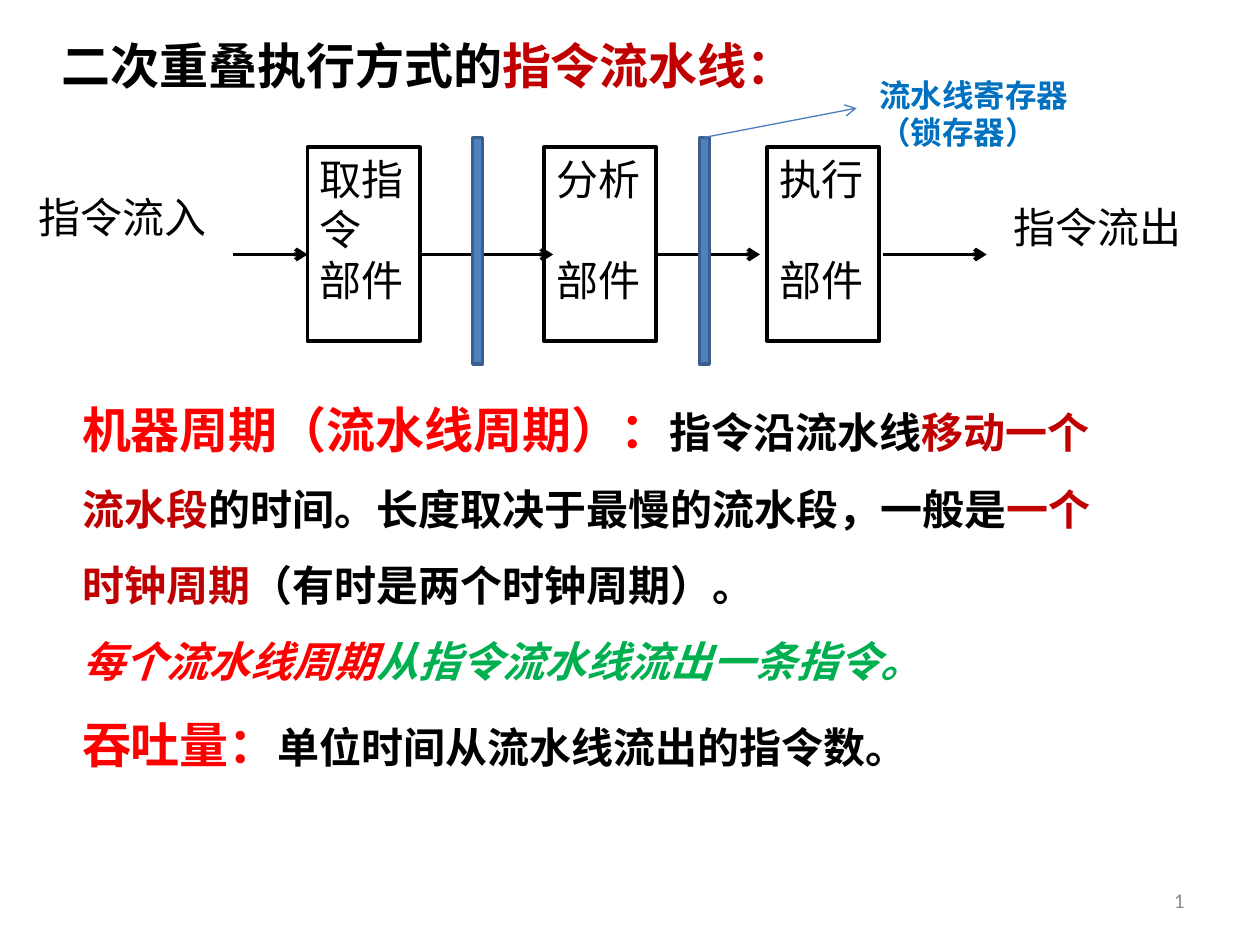
from lxml.etree import SubElement
from pptx import Presentation
from pptx.dml.color import RGBColor
from pptx.enum.shapes import MSO_CONNECTOR as ConnectorKind, MSO_SHAPE as ShapeKind
from pptx.enum.text import MSO_ANCHOR as Anchor, MSO_AUTO_SIZE as AutoSize, PP_ALIGN as Align
from pptx.oxml.ns import qn
from pptx.util import Cm, Pt

FONT = "Calibri"
BLACK, RED, DARK_RED, GREEN, BLUE = "000000", "FF0000", "C00000", "00B050", "0070C0"
BOX_TOP, BOX_WIDTH, BOX_HEIGHT = 2.97, 2.26, 3.91
FLOW_Y = 5.13
STAGES = [
    (6.2, ["取指", "令", "部件"], 0),
    (10.97, ["分析", "部件"], 28.8),
    (15.47, ["执行", "部件"], 28.8),
]
FLOW_ARROWS = [(8.48, 11.15), (13.23, 15.32), (17.8, 19.89), (4.7, 6.2)]
REGISTER_LEFTS = [9.53, 14.1]
TITLE = [("二次重叠执行方式的", 28, BLACK), ("指令流水线：", 28, DARK_RED)]
BODY = [
    ([
        ("机器周期（流水线周期）：", 28, RED),
        ("指令沿流水线", 24, BLACK),
        ("移动一个流水段", 24, DARK_RED),
        ("的时间。长度取决于最慢的流水段，一般是", 24, BLACK),
        ("一个时钟周期", 24, DARK_RED),
        ("（有时是两个时钟周期）。", 24, BLACK),
    ], False),
    ([("每个流水线周期", 24, RED), ("从指令流水线流出一条指令。", 24, GREEN)], True),
    ([("吞吐量：", 28, RED), ("单位时间从流水线流出的指令数。", 24, BLACK)], False),
]


def color(value):
    """Turn a hex string into a colour."""
    return RGBColor.from_string(value)


def set_font(font, size, value, bold=False):
    """Set typeface, size, colour and weight of a font."""
    font.name, font.size, font.bold = FONT, Pt(size), bold
    font.color.rgb = color(value)


def place(shape, left, top, width, height):
    """Move and size a placeholder."""
    shape.left, shape.top = Cm(left), Cm(top)
    shape.width, shape.height = Cm(width), Cm(height)


def prepare_frame(frame):
    """Make a text frame wrap and start at the top."""
    frame.word_wrap = True
    frame.auto_size = AutoSize.NONE
    frame.vertical_anchor = Anchor.TOP


def write_lines(frame, lines, size, value, bold=False, gap=0):
    """Write one uniform paragraph for each line."""
    prepare_frame(frame)
    for index, line in enumerate(lines):
        paragraph = frame.add_paragraph() if index else frame.paragraphs[0]
        paragraph.text = line
        paragraph.alignment = Align.LEFT
        if index:
            paragraph.space_before = Pt(gap)
        set_font(paragraph.font, size, value, bold)


def write_runs(paragraph, runs):
    """Write bold runs of differing size and colour."""
    paragraph.alignment = Align.LEFT
    paragraph.space_before = Pt(0)
    for text, size, value in runs:
        run = paragraph.add_run()
        run.text = text
        set_font(run.font, size, value, True)


def fill_title(title):
    """Fill the title placeholder."""
    place(title, 0.99, 0.58, 16.46, 1.45)
    prepare_frame(title.text_frame)
    write_runs(title.text_frame.paragraphs[0], TITLE)


def fill_body(body):
    """Fill the body placeholder with unbulleted definitions."""
    place(body, 1.4, 7.34, 21.64, 8.46)
    frame = body.text_frame
    prepare_frame(frame)
    for index, (runs, italic) in enumerate(BODY):
        paragraph = frame.add_paragraph() if index else frame.paragraphs[0]
        paragraph.line_spacing = 1.5
        write_runs(paragraph, runs)
        properties = paragraph._p.get_or_add_pPr()
        properties.set("marL", "0")
        properties.set("indent", "0")
        SubElement(properties, qn("a:buNone"))
        paragraph.font.italic = italic


def add_label(slide, left, top, width, height, lines, size, value, bold=False):
    """Add a free text label."""
    label = slide.shapes.add_textbox(Cm(left), Cm(top), Cm(width), Cm(height))
    write_lines(label.text_frame, lines, size, value, bold)


def add_arrow(slide, start, end, value, width):
    """Add a straight connector with an open arrowhead."""
    points = [Cm(length) for length in (*start, *end)]
    arrow = slide.shapes.add_connector(ConnectorKind.STRAIGHT, *points)
    arrow.line.color.rgb = color(value)
    arrow.line.width = Pt(width)
    SubElement(arrow.line._get_or_add_ln(), qn("a:tailEnd"), type="arrow")
    SubElement(arrow._element.spPr, qn("a:effectLst"))
    return arrow


def add_rectangle(slide, left, top, width, height, line, line_width, fill=None):
    """Add an outlined rectangle, filled if a colour is given."""
    rectangle = slide.shapes.add_shape(
        ShapeKind.RECTANGLE, Cm(left), Cm(top), Cm(width), Cm(height))
    rectangle.shadow.inherit = False
    rectangle.line.color.rgb = color(line)
    rectangle.line.width = Pt(line_width)
    if fill:
        rectangle.fill.solid()
        rectangle.fill.fore_color.rgb = color(fill)
    else:
        rectangle.fill.background()
    return rectangle


def add_slide_number(slide, number):
    """Add a right-aligned slide number field."""
    box = slide.shapes.add_textbox(Cm(18.2), Cm(17.65), Cm(5.93), Cm(1.01))
    prepare_frame(box.text_frame)
    box.text_frame.vertical_anchor = Anchor.MIDDLE
    paragraph = box.text_frame.paragraphs[0]
    paragraph.alignment = Align.RIGHT
    set_font(paragraph.font, 12, "8C8C8C")
    field = SubElement(paragraph._p, qn("a:fld"), type="slidenum",
                       id="{B6F15528-21DE-4FAA-801E-634DDDAF4B2B}")
    SubElement(field, qn("a:rPr"), lang="zh-CN")
    SubElement(field, qn("a:t")).text = number


def main():
    """Build the slide and save it."""
    presentation = Presentation()
    presentation.slide_width, presentation.slide_height = Cm(25.4), Cm(19.05)
    slide = presentation.slides.add_slide(presentation.slide_layouts[1])
    fill_title(slide.shapes.title)
    fill_body(slide.placeholders[1])

    for start, end in FLOW_ARROWS:
        add_arrow(slide, (start, FLOW_Y), (end, FLOW_Y), BLACK, 2.25)
    for left, lines, gap in STAGES:
        stage = add_rectangle(slide, left, BOX_TOP, BOX_WIDTH, BOX_HEIGHT, BLACK, 2.25)
        write_lines(stage.text_frame, lines, 24, BLACK, gap=gap)
    add_label(slide, 0.53, 3.73, 5.36, 1.27, ["指令流入"], 24, BLACK)
    add_label(slide, 20.18, 3.94, 4.76, 1.83, ["指令流出"], 24, BLACK)

    registers = [add_rectangle(slide, left, 2.77, 0.2, 4.57, "3A5F8C", 2, "4F81BD")
                 for left in REGISTER_LEFTS]
    callout = add_arrow(slide, (14.2, 2.77), (17.27, 2.18), "4B7EBC", 0.75)
    callout.begin_connect(registers[-1], 0)
    add_label(slide, 17.48, 1.4, 5.16, 1.8, ["流水线寄存器", "（锁存器）"], 18, BLUE, True)
    add_slide_number(slide, "7")
    presentation.save("out.pptx")


if __name__ == "__main__":
    main()
